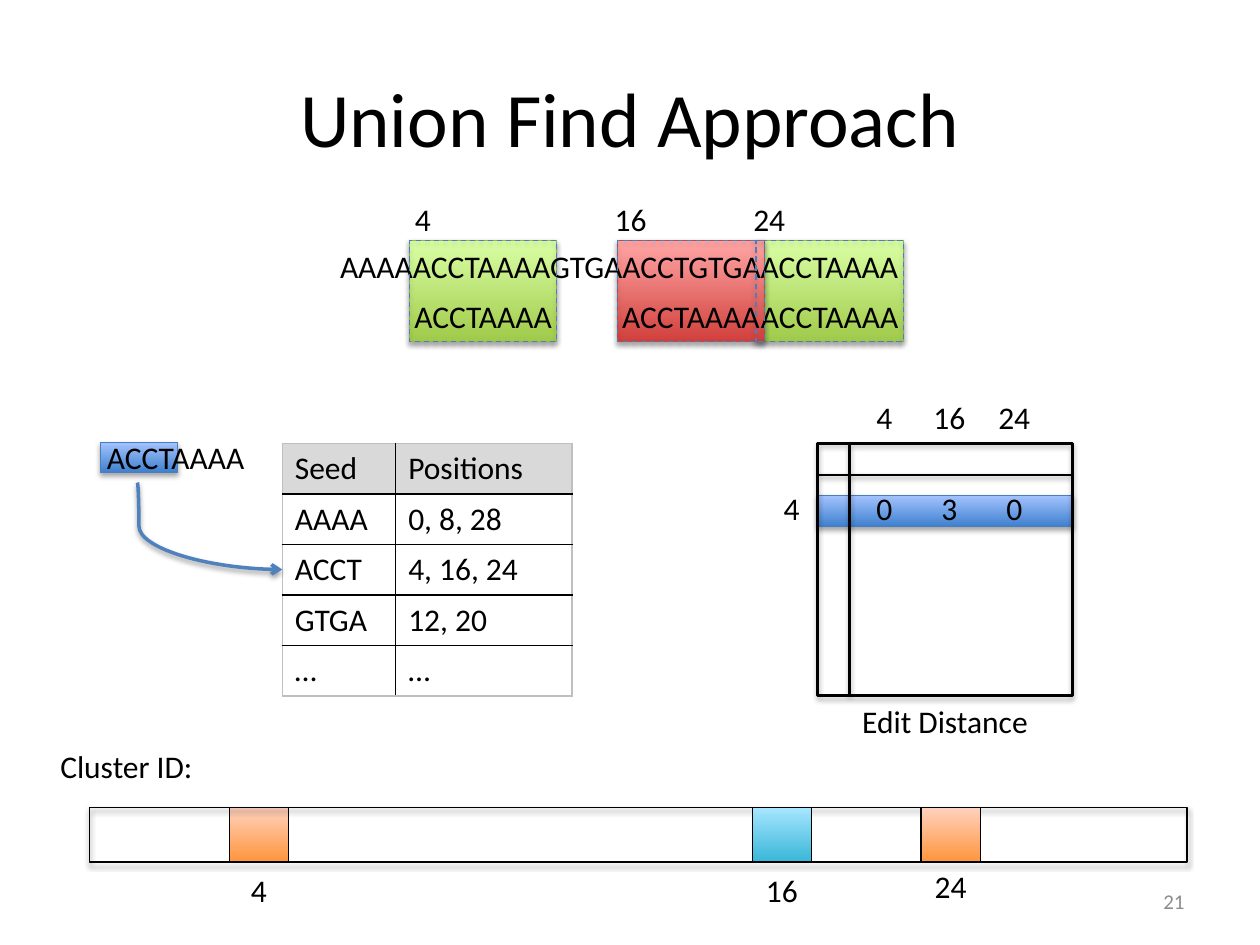
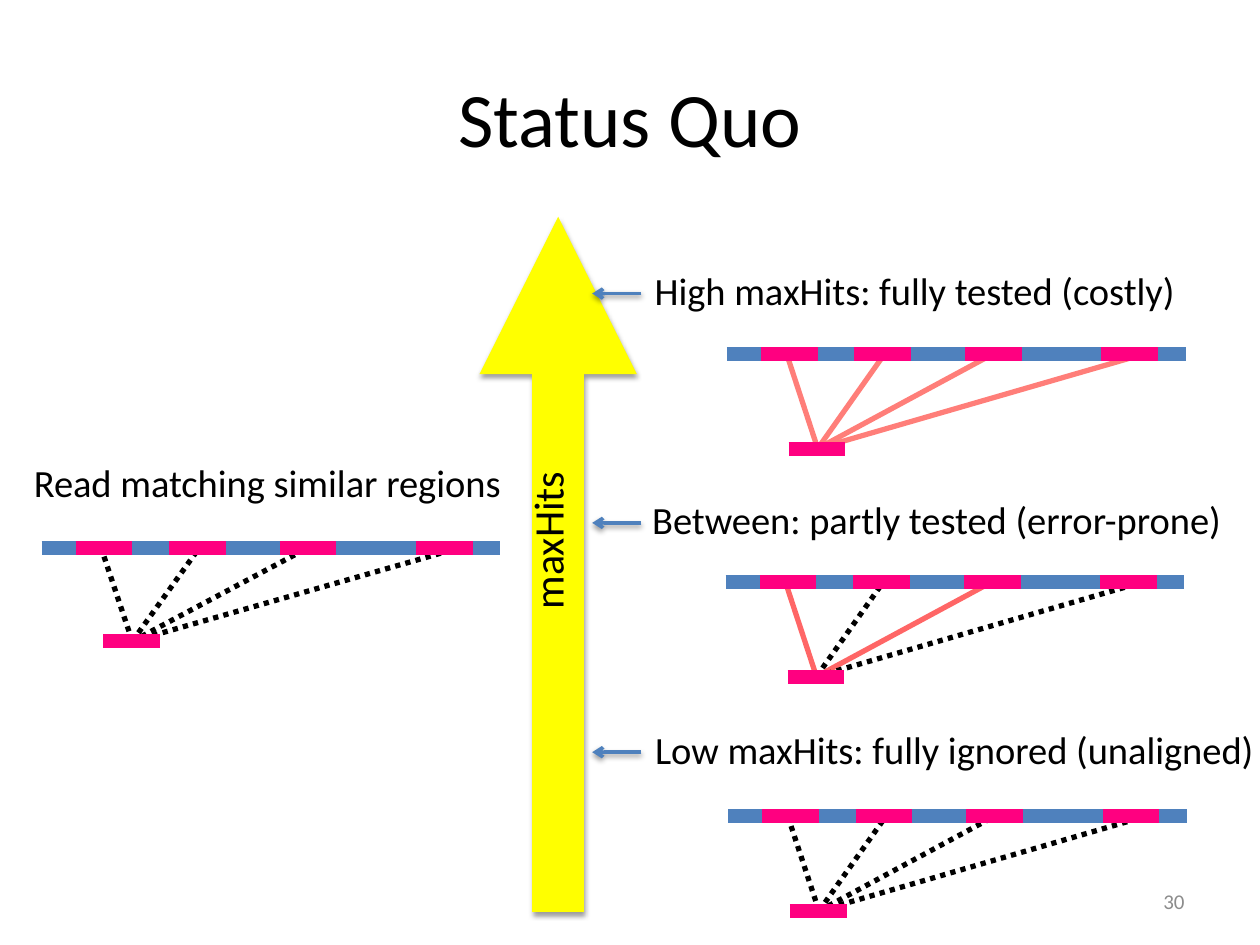
from collections import namedtuple

from lxml import etree
from pptx import Presentation
from pptx.dml.color import RGBColor
from pptx.enum.dml import MSO_LINE
from pptx.enum.shapes import MSO_CONNECTOR, MSO_SHAPE
from pptx.enum.text import MSO_ANCHOR, MSO_AUTO_SIZE, PP_ALIGN
from pptx.oxml.ns import qn
from pptx.util import Inches, Pt

LEFT, CENTER, RIGHT = PP_ALIGN.LEFT, PP_ALIGN.CENTER, PP_ALIGN.RIGHT
MIDDLE = MSO_ANCHOR.MIDDLE
GROW = MSO_AUTO_SIZE.SHAPE_TO_FIT_TEXT
RECTANGLE, STORAGE = MSO_SHAPE.RECTANGLE, MSO_SHAPE.FLOWCHART_INTERNAL_STORAGE
STRAIGHT, CURVE = MSO_CONNECTOR.STRAIGHT, MSO_CONNECTOR.CURVE
DASH, DOTS = MSO_LINE.DASH, MSO_LINE.ROUND_DOT

FONT = "Calibri"
COLORS = {
    "text": "000000", "number": "8C8C8C", "header": "D9D9D9", "edge": "BFBFBF",
    "blue": "4F81BD", "outline": "4B7EBC", "green line": "98B955",
    "red line": "BF4C48", "pink": "FF0080", "yellow": "FFFF00",
    "tested": "FF7E79", "partly": "FF6666",
}
GRADIENTS = {  # bottom colour, top colour
    "green": ("A0CA4A", "DAFFA5"), "red": ("D1403C", "FFA6A5"),
    "blue": ("3F80CE", "A4C4FF"), "orange": ("FF953E", "FFD2BD"),
    "cyan": ("39B7D8", "A7E6FF"),
}
SLIDE_WIDTH, SLIDE_HEIGHT = Inches(10), Inches(7.5)
COLUMN, ROW = SLIDE_WIDTH / 100, SLIDE_HEIGHT / 75
LINE_HEIGHT = 4


class Box(namedtuple("Box", "left top width height")):
    """An area in grid columns and rows."""

    def area(self, left, top, width, height):
        return Box(self.left + left, self.top + top, width, height)

    def point(self, left, top):
        return self.left + left, self.top + top

    def emu(self):
        return (round(self.left * COLUMN), round(self.top * ROW),
                round(self.width * COLUMN), round(self.height * ROW))


def color(name):
    return RGBColor.from_string(COLORS[name])


def format_text(paragraph, size, color_name="text", align=LEFT):
    paragraph.alignment = align
    for run in paragraph.runs:
        run.font.name = FONT
        run.font.size = Pt(size)
        run.font.color.rgb = color(color_name)


def add_text(slide, box, text, size=18, align=LEFT, color_name="text",
             wrap=True, anchor=None):
    shape = slide.shapes.add_textbox(*box.emu())
    text_frame = shape.text_frame
    text_frame.text = text
    text_frame.word_wrap = wrap
    if anchor is None:
        text_frame.auto_size = GROW
    else:
        text_frame.vertical_anchor = anchor
    format_text(text_frame.paragraphs[0], size, color_name, align)
    return shape


def add_shadow(effects, opacity, distance):
    """Put a soft shadow straight below into an effect list."""
    shadow = etree.SubElement(effects, qn("a:outerShdw"), blurRad=str(Pt(3.1)),
                              dist=str(Pt(distance)), dir="5400000", rotWithShape="0")
    black = etree.SubElement(shadow, qn("a:srgbClr"), val="000000")
    etree.SubElement(black, qn("a:alpha"), val=str(opacity * 1000))


def add_block(slide, box, gradient=None, line="text", weight=0.75, dash=None,
              shadow=True, kind=RECTANGLE):
    shape = slide.shapes.add_shape(kind, *box.emu())
    if gradient:
        shape.fill.gradient()
        shape.fill.gradient_angle = 90
        for stop, value in zip(shape.fill.gradient_stops, GRADIENTS[gradient]):
            stop.color.rgb = RGBColor.from_string(value)
    else:
        shape.fill.background()
    shape.line.color.rgb = color(line)
    shape.line.width = Pt(weight)
    if dash:
        shape.line.dash_style = dash
    shape.shadow.inherit = False
    if shadow:
        add_shadow(shape.element.spPr.find(qn("a:effectLst")), 35, 1.8)


def add_line(slide, start, end, line, weight, dash=None, head=None, kind=STRAIGHT):
    """Draw a connector; one with a head also gets a shadow."""
    corners = [round(value * unit) for point in (start, end)
               for value, unit in zip(point, (COLUMN, ROW))]
    connector = slide.shapes.add_connector(kind, *corners)
    connector.line.color.rgb = color(line)
    connector.line.width = Pt(weight)
    if dash:
        connector.line.dash_style = dash
    properties = connector.element.spPr
    effects = etree.SubElement(properties, qn("a:effectLst"))
    if head:
        etree.SubElement(properties.find(qn("a:ln")), qn("a:tailEnd"), type=head)
        add_shadow(effects, 38, 1.6)
    return connector


def add_slide(presentation, title, number):
    """Add a blank slide with the shared title and page number."""
    slide = presentation.slides.add_slide(presentation.slide_layouts[6])
    add_text(slide, Box(5, 3, 90, 12.5), title, 44, CENTER, anchor=MIDDLE)
    add_text(slide, Box(71.7, 69.5, 23.3, 4), number, 12, RIGHT, "number", anchor=MIDDLE)
    return slide


def add_alignment(slide, box):
    """Place the reference sequence over its three matching reads."""
    matches = [("4", 0, "green"), ("24", 27.5, "green"), ("16", 16.5, "red")]
    windows = [box.area(left, 0, 11.7, 8) for _, left, _ in matches]
    for window, (_, _, gradient) in zip(windows, matches):
        add_block(slide, window, gradient, f"{gradient} line")
    add_text(slide, box.area(-23, 0, 79.3, LINE_HEIGHT),
             "AAAAACCTAAAAGTGAACCTGTGAACCTAAAA", align=CENTER)
    for window, (position, _, _) in zip(windows, matches):
        add_text(slide, window.area(-0.6, 4, 13, LINE_HEIGHT), "ACCTAAAA", wrap=False)
        add_text(slide, window.area(-2.4, -3.7, 6.9, LINE_HEIGHT), position, align=CENTER)
        add_block(slide, window, line="outline", dash=DASH)


def add_seed_lookup(slide, box):
    """Place the read with its highlighted seed and the arrow into the table."""
    add_block(slide, box.area(0.5, 0.8, 6.1, 2.4), "blue", "outline")
    add_text(slide, box.area(0, 0, 13, LINE_HEIGHT), "ACCTAAAA", wrap=False)
    arrow = add_line(slide, box.point(3.4, 4), box.point(14.9, 10.9), "blue", 2,
                     head="arrow", kind=CURVE)
    geometry = arrow.element.spPr.find(qn("a:prstGeom"))
    geometry.set("prst", "curvedConnector3")
    guides = geometry.find(qn("a:avLst"))
    etree.SubElement(guides, qn("a:gd"), name="adj1", fmla="val 1100")


def add_cell_borders(cell, outer_sides):
    """Draw grey lines on the table's outside and black lines within."""
    properties = cell._tc.get_or_add_tcPr()
    for index, side in enumerate(("lnL", "lnR", "lnT", "lnB")):
        border = etree.Element(qn(f"a:{side}"), w=str(Pt(1)))
        fill = etree.SubElement(border, qn("a:solidFill"))
        name = "edge" if side in outer_sides else "text"
        etree.SubElement(fill, qn("a:srgbClr"), val=COLORS[name])
        properties.insert(index, border)


def add_seed_table(slide, box):
    rows = [("Seed", "Positions"), ("AAAA", "0, 8, 28"), ("ACCT", "4, 16, 24"),
            ("GTGA", "12, 20"), ("…", "…")]
    table = slide.shapes.add_table(len(rows), 2, *box.emu()).table
    table.first_row = table.horz_banding = False
    for column, width in zip(table.columns, (9, 14)):
        column.width = round(width * COLUMN)
    for row_index, texts in enumerate(rows):
        for column_index, text in enumerate(texts):
            cell = table.cell(row_index, column_index)
            cell.text = text
            format_text(cell.text_frame.paragraphs[0], 18)
            if row_index == 0:
                cell.fill.solid()
                cell.fill.fore_color.rgb = color("header")
            else:
                cell.fill.background()
            outer_sides = {"lnR" if column_index else "lnL"}
            if row_index == 0:
                outer_sides.add("lnT")
            if row_index == len(rows) - 1:
                outer_sides.add("lnB")
            add_cell_borders(cell, outer_sides)


def add_distance_matrix(slide, box):
    """Place the edit distance matrix with its labelled row and columns."""
    add_block(slide, box.area(0, 4.1, box.width, 2.5), "blue", "outline")
    add_text(slide, box.area(-3.7, 3.1, 4.2, LINE_HEIGHT), "4")
    add_block(slide, box, weight=1.5, kind=STORAGE)
    for index, (position, distance) in enumerate([("4", "0"), ("16", "3"), ("24", "0")]):
        for text, top in ((position, -4.1), (distance, 3.1)):
            add_text(slide, box.area(2.5 + index * 5.15, top, 5.6, LINE_HEIGHT),
                     text, align=CENTER)
    add_text(slide, box.area(0, box.height, box.width, LINE_HEIGHT),
             "Edit Distance", align=CENTER)


def add_cluster_strip(slide, box):
    """Place the array of cluster IDs with its coloured cells."""
    add_text(slide, box.area(-3.3, -5.3, 14.1, LINE_HEIGHT), "Cluster ID:")
    cells = [("4", 11.1, "orange", 4.5), ("16", 52.6, "cyan", 4.5),
             ("24", 66, "orange", 4.2)]
    for index, (position, left, gradient, label_top) in enumerate(cells):
        add_block(slide, box.area(left, 0, 4.7, box.height), gradient, shadow=False)
        if index == 0:
            add_block(slide, box, weight=1)
        add_text(slide, box.area(left, label_top, 4.7, 4.1), position, align=CENTER)


def add_read_matches(slide, box, links):
    """Join a short read to four similar regions; a link is a colour or None."""
    read_row = box.height
    for left, link in zip((4.9, 12.5, 21.1, 33.1), links):
        top = 0.5 if left == 4.9 else 0
        add_line(slide, box.point(7.2, read_row), box.point(left, top),
                 link or "text", 3, None if link else DOTS)
    add_line(slide, box.point(0, 0), box.point(box.width, 0), "blue", 8)
    segments = [(left, 0) for left in (2.7, 10.1, 18.9, 29.7)] + [(4.9, read_row)]
    for left, top in segments:
        add_line(slide, box.point(left, top), box.point(left + 4.5, top), "pink", 8)


def add_max_hits_arrow(slide, box):
    middle = box.width / 2
    add_line(slide, box.point(middle + 0.35, box.height), box.point(middle + 0.35, 3.8),
             "yellow", 30, head="triangle")
    label = add_text(slide, box, "maxHits", 24, CENTER)
    label.text_frame._txBody.bodyPr.set("vert", "vert270")


def add_case(slide, box, text, links, label_left, diagram):
    """Place one maxHits setting: pointer, label and matching diagram."""
    add_text(slide, box.area(label_left, 0, box.width, box.height), text, 22, CENTER,
             wrap=False)
    add_read_matches(slide, box.area(*diagram, 36.4, 7.5), links)
    add_line(slide, box.point(3.9, 2.6), box.point(0, 2.6), "blue", 2, head="arrow")


def build_union_find(presentation):
    slide = add_slide(presentation, "Union Find Approach", "21")
    add_alignment(slide, Box(32.5, 19.1, 39.2, 8))
    add_seed_table(slide, Box(22.4, 35.2, 23, 20))
    add_seed_lookup(slide, Box(7.5, 34.3, 14.9, 10.9))
    add_distance_matrix(slide, Box(64.9, 35.2, 20.2, 20))
    add_cluster_strip(slide, Box(7.1, 64.1, 87.1, 4.3))


def build_status_quo(presentation):
    slide = add_slide(presentation, "Status Quo", "30")
    add_text(slide, Box(1.7, 35.9, 39.2, 4.7), "Read matching similar regions", 22,
             wrap=False)
    add_read_matches(slide, Box(3.3, 43.5, 36.4, 7.4), [None] * 4)
    add_max_hits_arrow(slide, Box(40.9, 13.4, 6.1, 59))
    cases = [
        (20.7, 44, "High maxHits: fully tested (costly)", ["tested"] * 4,
         3.6, (10.7, 7.4)),
        (38.9, 47.7, "Between: partly tested (error-prone)", ["partly", None] * 2,
         3.5, (10.6, 7.3)),
        (57.1, 49.7, "Low maxHits: fully ignored (unaligned)", [None] * 4,
         3.9, (10.8, 7.7)),
    ]
    for top, width, *details in cases:
        add_case(slide, Box(47, top, width, 4.7), *details)


def main():
    presentation = Presentation()
    presentation.slide_width, presentation.slide_height = SLIDE_WIDTH, SLIDE_HEIGHT
    build_union_find(presentation)
    build_status_quo(presentation)
    presentation.save("out.pptx")


if __name__ == "__main__":
    main()
